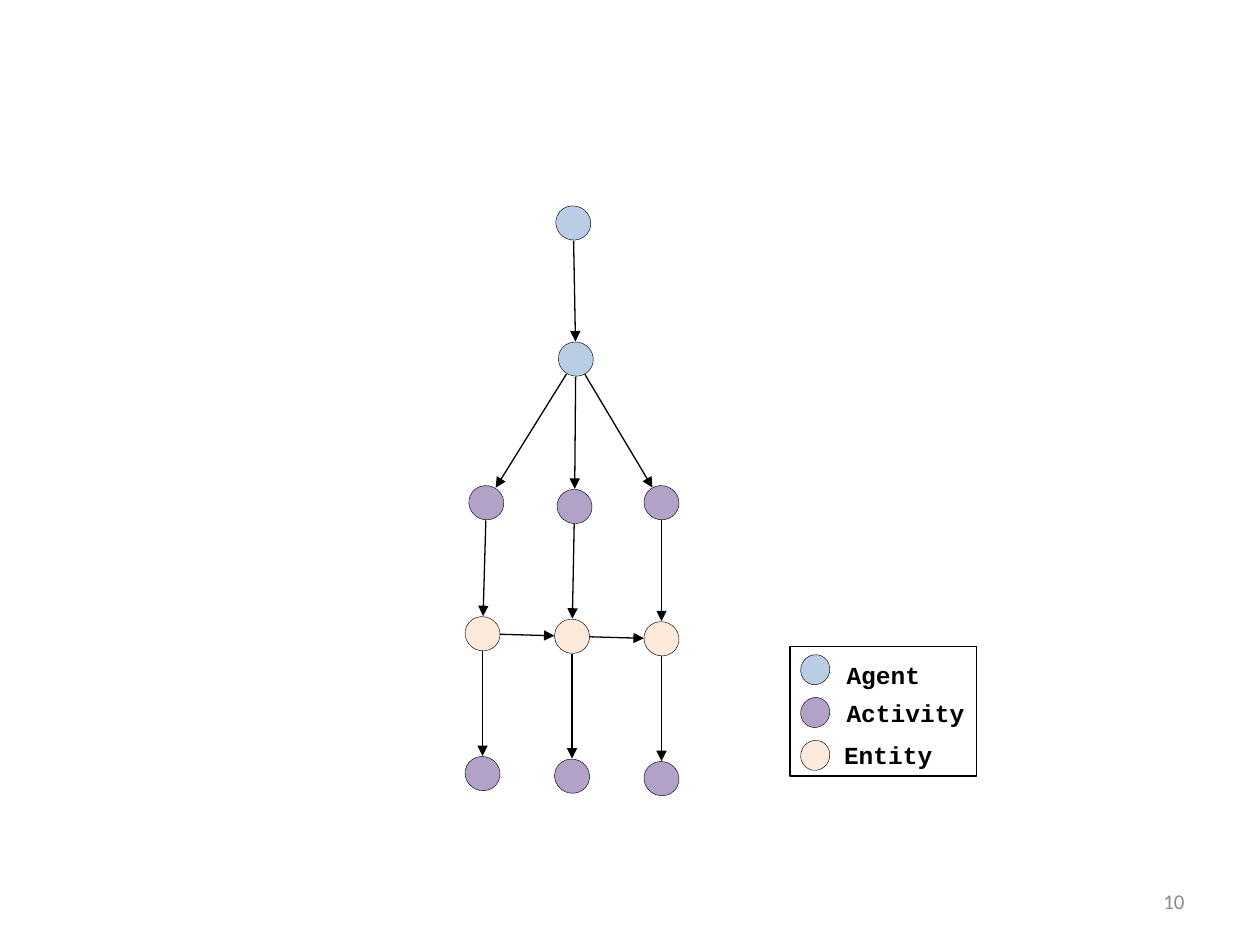
import math
from dataclasses import dataclass

import pptx
import pptx.dml.color
import pptx.enum.shapes
import pptx.enum.text
import pptx.oxml.ns
import pptx.util
from lxml import etree

Inches = pptx.util.Inches
SLIDE_WIDTH, SLIDE_HEIGHT = 10, 7.5


@dataclass(frozen=True)
class Theme:
    agent: str = "B9CDE5"
    activity: str = "B3A2C7"
    entity: str = "FDEADA"
    ink: str = "000000"
    paper: str = "FFFFFF"
    muted: str = "8C8C8C"
    label_font: str = "Courier New"
    number_font: str = "Calibri"
    label_size: int = 14
    number_size: int = 12
    outline: float = 0.25
    stroke: float = 0.75


THEME = Theme()

# Graph grid: evenly spaced columns, one height per level
FIRST_COLUMN, COLUMN_GAP = 3.83, 0.71
ROWS = (1.77, 2.85, 3.99, 5.03, 6.14)
NODE_SIZE = (0.27, 0.28)
NODE_RADIUS = 0.14
TILT = 114.6


@dataclass(frozen=True)
class Node:
    column: int
    row: int
    fill: str
    shift_x: float = 0
    shift_y: float = 0

    @property
    def center(self) -> tuple[float, float]:
        return (FIRST_COLUMN + self.column * COLUMN_GAP + self.shift_x,
                ROWS[self.row] + self.shift_y)


@dataclass(frozen=True)
class LegendEntry:
    label: str
    fill: str
    dot_top: float
    text_left: float
    text_top: float


def color(code: str) -> pptx.dml.color.RGBColor:
    return pptx.dml.color.RGBColor.from_string(code)


def add_shape(page, kind, left: float, top: float, width: float, height: float,
              fill: str, line_width: float):
    shape = page.shapes.add_shape(kind, Inches(left), Inches(top),
                                  Inches(width), Inches(height))
    shape.shadow.inherit = False
    shape.fill.solid()
    shape.fill.fore_color.rgb = color(fill)
    shape.line.color.rgb = color(THEME.ink)
    shape.line.width = pptx.util.Pt(line_width)
    return shape


def add_dot(page, center: tuple[float, float], size: tuple[float, float], fill: str) -> None:
    width, height = size
    dot = add_shape(page, pptx.enum.shapes.MSO_SHAPE.OVAL, center[0] - width / 2,
                    center[1] - height / 2, width, height, fill, THEME.outline)
    dot.rotation = TILT


def add_arrow(page, source: Node, target: Node) -> None:
    """Join two nodes from rim to rim."""
    (x1, y1), (x2, y2) = source.center, target.center
    distance = math.hypot(x2 - x1, y2 - y1)
    trim_x = NODE_RADIUS * (x2 - x1) / distance
    trim_y = NODE_RADIUS * (y2 - y1) / distance
    arrow = page.shapes.add_connector(
        pptx.enum.shapes.MSO_CONNECTOR.STRAIGHT,
        Inches(x1 + trim_x), Inches(y1 + trim_y), Inches(x2 - trim_x), Inches(y2 - trim_y))
    arrow.line.color.rgb = color(THEME.ink)
    arrow.line.width = pptx.util.Pt(THEME.stroke)
    qn = pptx.oxml.ns.qn
    etree.SubElement(arrow.line._get_or_add_ln(), qn("a:tailEnd"), type="triangle")
    etree.SubElement(arrow._element.spPr, qn("a:effectLst"))


def add_text(page, text: str, left: float, top: float, width: float, height: float,
             font: str, size: int, ink: str, bold: bool = False):
    box = page.shapes.add_textbox(Inches(left), Inches(top), Inches(width), Inches(height))
    frame = box.text_frame
    frame.word_wrap = True
    frame.text = text
    span = frame.paragraphs[0].runs[0]
    span.font.name = font
    span.font.size = pptx.util.Pt(size)
    span.font.bold = bold
    span.font.color.rgb = color(ink)
    return frame


def draw_graph(page) -> None:
    root = Node(1, 0, THEME.agent, 0.01)
    agent = Node(1, 1, THEME.agent, 0.03)
    activities = [Node(0, 2, THEME.activity, 0.03),
                  Node(1, 2, THEME.activity, 0.02, 0.03),
                  Node(2, 2, THEME.activity)]
    entities = [Node(column, 3, THEME.entity, 0, 0.02 * column) for column in range(3)]
    results = [Node(column, 4, THEME.activity, 0, 0.02 * column) for column in range(3)]

    links = [(root, agent)]
    links += [(agent, activity) for activity in activities]
    links += zip(activities, entities)
    links += zip(entities, results)
    links += zip(entities, entities[1:])
    for node in (root, agent, *activities, *entities, *results):
        add_dot(page, node.center, NODE_SIZE, node.fill)
    for source, target in links:
        add_arrow(page, source, target)


def draw_legend(page) -> None:
    add_shape(page, pptx.enum.shapes.MSO_SHAPE.RECTANGLE, 6.27, 5.13, 1.48, 1.03,
              THEME.paper, THEME.stroke)
    dot_left, dot_size = 6.35, (0.24, 0.23)
    entries = (LegendEntry("Agent", THEME.agent, 5.2, 6.62, 5.19),
               LegendEntry("Activity", THEME.activity, 5.54, 6.62, 5.49),
               LegendEntry("Entity", THEME.entity, 5.88, 6.6, 5.82))
    for entry in entries:
        center = (dot_left + dot_size[0] / 2, entry.dot_top + dot_size[1] / 2)
        add_dot(page, center, dot_size, entry.fill)
        frame = add_text(page, entry.label, entry.text_left, entry.text_top, 1.71, 0.25,
                         THEME.label_font, THEME.label_size, THEME.ink, bold=True)
        frame.auto_size = pptx.enum.text.MSO_AUTO_SIZE.SHAPE_TO_FIT_TEXT


def draw_page_number(page) -> None:
    frame = add_text(page, "10", 7.17, 6.95, 2.33, 0.4,
                     THEME.number_font, THEME.number_size, THEME.muted)
    frame.vertical_anchor = pptx.enum.text.MSO_ANCHOR.MIDDLE
    frame.paragraphs[0].alignment = pptx.enum.text.PP_ALIGN.RIGHT


def main() -> None:
    deck = pptx.Presentation()
    deck.slide_width, deck.slide_height = Inches(SLIDE_WIDTH), Inches(SLIDE_HEIGHT)
    page = deck.slides.add_slide(deck.slide_layouts[6])
    draw_graph(page)
    draw_legend(page)
    draw_page_number(page)
    deck.save("out.pptx")


if __name__ == "__main__":
    main()
